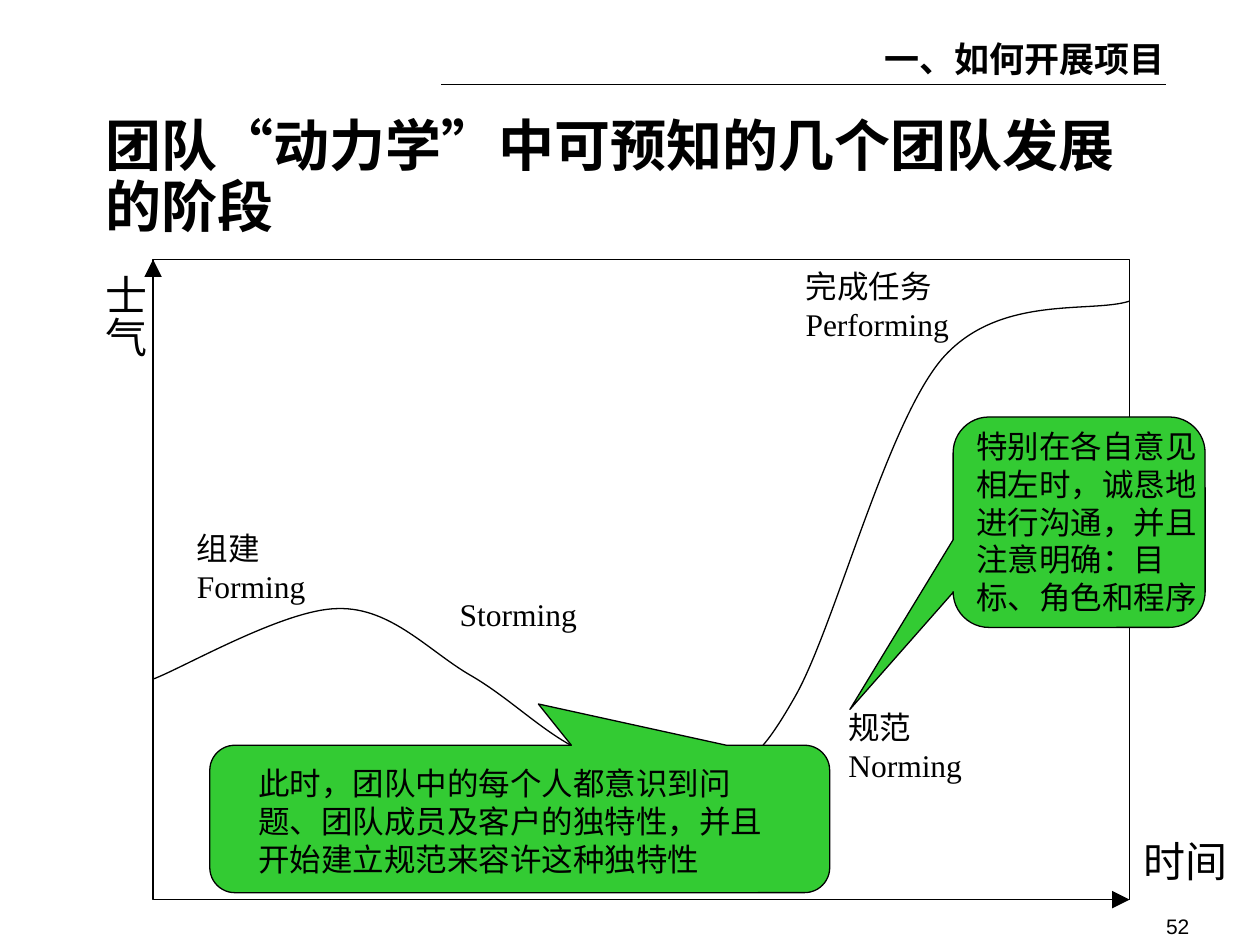
from lxml import etree
from pptx import Presentation
from pptx.dml.color import RGBColor
from pptx.enum.lang import MSO_LANGUAGE_ID
from pptx.enum.shapes import MSO_CONNECTOR, MSO_SHAPE
from pptx.enum.text import MSO_ANCHOR, MSO_AUTO_SIZE, PP_ALIGN
from pptx.oxml.ns import qn
from pptx.util import Inches, Pt

STRAIGHT = MSO_CONNECTOR.STRAIGHT
RECTANGLE = MSO_SHAPE.RECTANGLE
CALLOUT = MSO_SHAPE.ROUNDED_RECTANGULAR_CALLOUT
TOP = MSO_ANCHOR.TOP
LEFT, RIGHT = PP_ALIGN.LEFT, PP_ALIGN.RIGHT
NO_RESIZE = MSO_AUTO_SIZE.NONE
CHINESE = MSO_LANGUAGE_ID.SIMPLIFIED_CHINESE

BLACK = RGBColor(0x00, 0x00, 0x00)
GREEN = RGBColor(0x33, 0xCB, 0x33)
SERIF, SANS = "Times New Roman", "Arial"

WIDTH, HEIGHT = Inches(10), Inches(7.5)
COLUMNS, ROWS = 100, 75

HEADER_BOX = (35, 2.5, 57.5, 4.2)
TITLE_BOX = (8.4, 9.4, 84.4, 9.6)
CHART_BOX = (12.15, 20.6, 77.5, 50.8)
NUMBER_BOX = (73.7, 72.5, 20.7, 2)

CURVE_START = (0, 33.3)
CURVE_SEGMENTS = [
    ((2.4, 32.4), (10.5, 27.7), (14.7, 27.7)),
    ((18.9, 27.6), (21.9, 31.1), (25.2, 33)),
    ((28.5, 34.9), (31.3, 37.9), (34.5, 39.2)),
    ((37.6, 40.5), (41.4, 41.6), (44.1, 40.8)),
    ((46.9, 40.1), (47.9, 40.1), (51, 34.6)),
    ((54.1, 29.1), (58.2, 13.1), (62.6, 7.9)),
    ((67.1, 2.7), (74.4, 4.3), (77.5, 3.3)),
]
STAGES = [
    ((2.5, 20.9, 10.6, 7), ["组建", "Forming"]),
    ((23.35, 26.1, 11.3, 4), ["Storming"]),
    ((54.2, 35.1, 11, 7), ["规范", "Norming"]),
    ((50.8, 0.1, 13.4, 7), ["完成任务", "Performing"]),
]
CALLOUTS = [
    ((4.5, 38.55, 49.2, 11.7), (0.03, -0.78, 0.17), (7.35, 39.55, 43.5, 10),
     "此时，团队中的每个人都意识到问题、团队成员及客户的独特性，并且开始建立规范来容许这种独特性"),
    ((63.5, 12.5, 20, 16.7), (-0.91, 0.89, 0.17), (64.35, 12.8, 21, 16),
     "特别在各自意见相左时，诚恳地进行沟通，并且注意明确：目标、角色和程序"),
]


def point(box, column, row):
    """Convert a grid position inside a box to slide lengths."""
    return (round((box[0] + column) * WIDTH / COLUMNS),
            round((box[1] + row) * HEIGHT / ROWS))


def area(box, part):
    """Convert a part of a box to left, top, width and height."""
    return point(box, *part[:2]) + point((0, 0), *part[2:])


def apply_format(target, values):
    """Set each attribute named in a dict."""
    for name, value in values.items():
        setattr(target, name, value)


def write_text(shape, lines, size, font=SERIF, bold=False, align=LEFT,
               wrap=True, margins=(0.1, 0.05)):
    """Fill a text shape with formatted paragraphs."""
    frame = shape.text_frame
    side, end = map(Inches, margins)
    apply_format(frame, {
        "word_wrap": wrap, "auto_size": NO_RESIZE, "vertical_anchor": TOP,
        "margin_left": side, "margin_right": side,
        "margin_top": end, "margin_bottom": end})
    frame.text = "\n".join(lines)
    for paragraph in frame.paragraphs:
        paragraph.alignment = align
        paragraph._p.get_or_add_pPr().set("hangingPunct", "0")
        for run in paragraph.runs:
            apply_format(run.font, {"name": font, "size": Pt(size), "bold": bold,
                                    "language_id": CHINESE})
            run.font.color.rgb = BLACK


def add_text(slide, box, part, lines, size, **options):
    """Add a text box at a part of a box."""
    shape = slide.shapes.add_textbox(*area(box, part))
    write_text(shape, lines, size, **options)
    return shape


def style_shape(shape, fill=None):
    """Give a shape a thin black outline and an optional fill."""
    shape.shadow.inherit = False
    if fill is None:
        shape.fill.background()
    else:
        shape.fill.solid()
        shape.fill.fore_color.rgb = fill
    shape.line.color.rgb = BLACK
    shape.line.width = Pt(0.75)


def add_line(slide, box, start, end, arrow=False):
    """Draw a straight line, with an arrowhead at its end if wanted."""
    line = slide.shapes.add_connector(STRAIGHT, *point(box, *start), *point(box, *end))
    line.line.color.rgb = BLACK
    line.line.width = Pt(0.75)
    properties = line._element.spPr
    if arrow:
        etree.SubElement(properties.find(qn("a:ln")), qn("a:tailEnd"),
                         type="triangle", w="lg", len="lg")
    etree.SubElement(properties, qn("a:effectLst"))


def add_header(slide, box):
    """Place the chapter name above its rule."""
    add_text(slide, box, (34.2, 0, 30.8, 4.4), ["一、如何开展项目"], 20, bold=True)
    add_line(slide, box, (0, box[3]), (box[2], box[3]))


def add_title(slide, box):
    """Move and format the title placeholder."""
    title = slide.shapes.title
    positions = area(box, (0, 0, *box[2:]))
    apply_format(title, dict(zip(("left", "top", "width", "height"), positions)))
    write_text(title, ["团队“动力学”中可预知的几个团队发展的阶段"], 32,
               font=SANS, bold=True, margins=(0, 0))
    title.text_frame.paragraphs[0].line_spacing = 0.9


def add_curve(slide, box):
    """Draw the morale curve as joined Bézier segments."""
    builder = slide.shapes.build_freeform(*point(box, *CURVE_START))
    builder.add_line_segments([point(box, *place) for segment in CURVE_SEGMENTS
                               for place in segment], close=False)
    curve = builder.convert_to_shape()
    style_shape(curve)
    outline = next(curve._element.iter(qn("a:path")))
    lines = outline.findall(qn("a:lnTo"))
    for first in range(0, len(lines), 3):
        bezier = etree.SubElement(outline, qn("a:cubicBezTo"))
        for line in lines[first:first + 3]:
            bezier.append(line[0])
            outline.remove(line)


def add_morale_chart(slide, box):
    """Draw the morale curve with its frame, axes and stage names."""
    width, height = box[2:]
    style_shape(slide.shapes.add_shape(RECTANGLE, *area(box, (0, 0, width, height))))
    add_curve(slide, box)
    add_line(slide, box, (0, 2.5), (0, 0), arrow=True)
    add_line(slide, box, (width - 4.2, height), (width, height), arrow=True)
    morale = add_text(slide, box, (-5.7, 0.2, 6, 7.7), ["士气"], 24,
                      wrap=False, margins=(0.05, 0.1))
    morale.text_frame._txBody.bodyPr.set("vert", "eaVert")
    add_text(slide, box, (width + 0.1, 45.2, 8.6, 5), ["时间"], 24, wrap=False)
    for part, lines in STAGES:
        add_text(slide, box, part, lines, 18, wrap=False)


def add_callouts(slide, box):
    """Place the green callouts and their comments over the chart."""
    for part, adjustments, text_part, text in CALLOUTS:
        callout = slide.shapes.add_shape(CALLOUT, *area(box, part))
        for index, value in enumerate(adjustments):
            callout.adjustments[index] = value
        style_shape(callout, GREEN)
        add_text(slide, box, text_part, [text], 18)


def add_page_number(slide, box):
    """Place the page number at the lower right."""
    add_text(slide, box, (0, 0, *box[2:]), ["52"], 12, font=SANS, align=RIGHT, margins=(0, 0))


def main():
    """Build and save the presentation."""
    presentation = Presentation()
    apply_format(presentation, {"slide_width": WIDTH, "slide_height": HEIGHT})
    slide = presentation.slides.add_slide(presentation.slide_layouts[5])
    add_header(slide, HEADER_BOX)
    add_morale_chart(slide, CHART_BOX)
    add_callouts(slide, CHART_BOX)
    add_title(slide, TITLE_BOX)
    add_page_number(slide, NUMBER_BOX)
    presentation.save("out.pptx")


if __name__ == "__main__":
    main()
